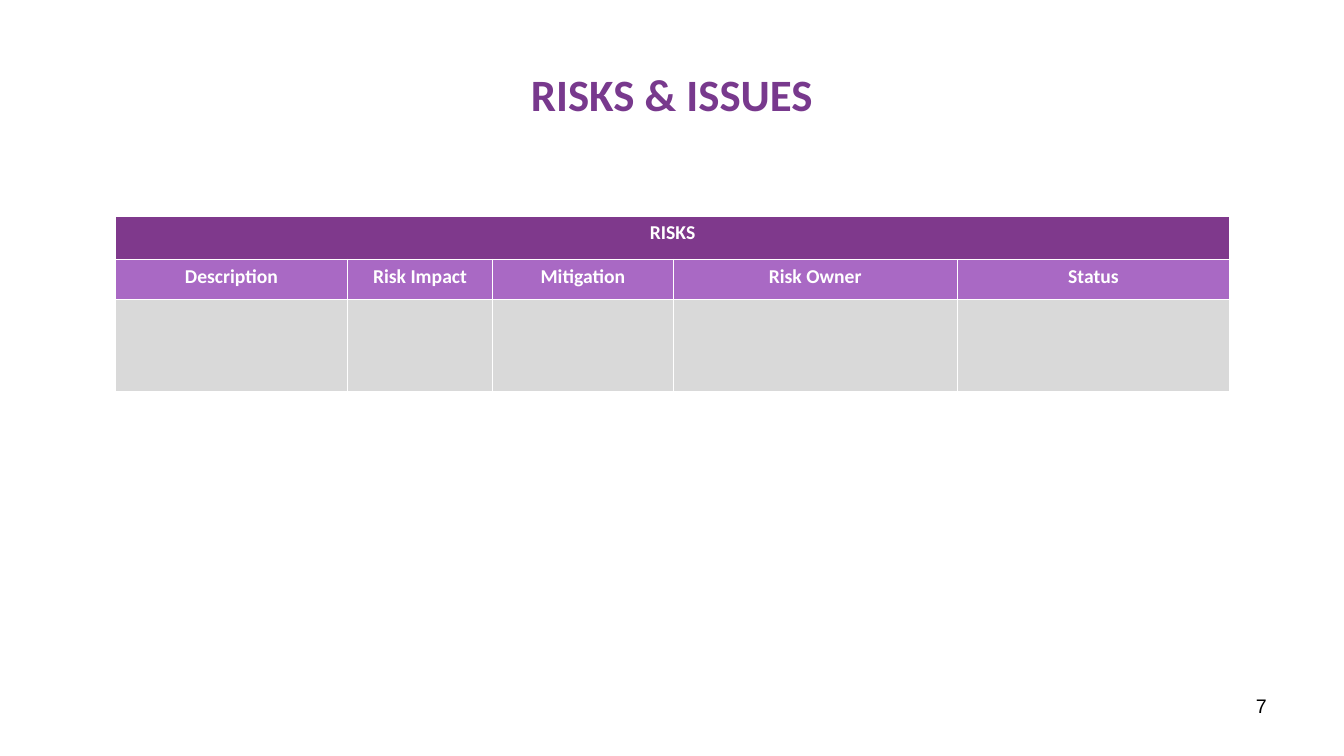
from lxml.etree import SubElement, Element
from pptx import Presentation
from pptx.dml.color import RGBColor
from pptx.enum.text import MSO_ANCHOR as Anchor, PP_ALIGN as Align
from pptx.oxml.ns import qn
from pptx.util import Inches, Pt

WIDE, HIGH = Inches(13.33), Inches(7.5)
COLS = [2.3, 1.44, 1.79, 2.82, 2.7]
ROWS = [0.43, 0.4, 0.91]
FILLS = ["7F398C", "A969C4", "D9D9D9"]
HEADS = ["Description", "Risk Impact", "Mitigation", "Risk Owner", "Status"]
TITLE = {"name": "Calibri", "size": Pt(32), "bold": True}
HEAD = {"name": "Calibri", "size": Pt(14), "bold": True}
PAGE = {"name": "Arial", "size": Pt(14), "bold": False}


def paint(color, code):
    color.rgb = RGBColor.from_string(code)


def write(frame, text, style, code, align):
    par = frame.paragraphs[0]
    par.alignment = align
    run = par.add_run()
    run.text = text
    for key, value in style.items():
        setattr(run.font, key, value)
    paint(run.font.color, code)


def place(shape, left, top, width, height):
    """Set a shape's box as shares of the slide's size."""
    shape.left, shape.width = int(left * WIDE), int(width * WIDE)
    shape.top, shape.height = int(top * HIGH), int(height * HIGH)


def edge(cell, code="FFFFFF", width=Pt(1)):
    """Draw all four borders of a cell."""
    props = cell._tc.get_or_add_tcPr()
    for spot, side in enumerate(("lnL", "lnR", "lnT", "lnB")):
        line = Element(qn(f"a:{side}"), w=str(width))
        fill = SubElement(line, qn("a:solidFill"))
        SubElement(fill, qn("a:srgbClr"), val=code)
        props.insert(spot, line)


def add_title(slide, text):
    title = slide.shapes.title
    place(title, 0.05, 0.04, 0.9, 0.167)
    title.text_frame.vertical_anchor = Anchor.MIDDLE
    write(title.text_frame, text, TITLE, "78398D", Align.CENTER)


def add_page(slide, text):
    box = slide.shapes.add_textbox(0, 0, 0, 0)
    place(box, 0.717, 0.911, 0.233, 0.069)
    box.text_frame.word_wrap = True
    write(box.text_frame, text, PAGE, "000000", Align.RIGHT)


def add_grid(slide, left, top):
    table = slide.shapes.add_table(
        len(ROWS), len(COLS), int(left * WIDE), int(top * HIGH),
        Inches(sum(COLS)), Inches(sum(ROWS))).table
    for col, width in zip(table.columns, COLS):
        col.width = Inches(width)
    for row, height, code in zip(table.rows, ROWS, FILLS):
        row.height = Inches(height)
        for cell in row.cells:
            cell.fill.solid()
            paint(cell.fill.fore_color, code)
            edge(cell)
    table.cell(0, 0).merge(table.cell(0, len(COLS) - 1))
    for row, texts in enumerate((["RISKS"], HEADS)):
        for col, text in enumerate(texts):
            frame = table.cell(row, col).text_frame
            write(frame, text, HEAD, "FFFFFF", Align.CENTER)


def main():
    deck = Presentation()
    deck.slide_width, deck.slide_height = WIDE, HIGH
    slide = deck.slides.add_slide(deck.slide_layouts[5])
    add_title(slide, "RISKS & ISSUES")
    add_page(slide, "7")
    add_grid(slide, 0.086, 0.286)
    deck.save("out.pptx")


if __name__ == "__main__":
    main()
